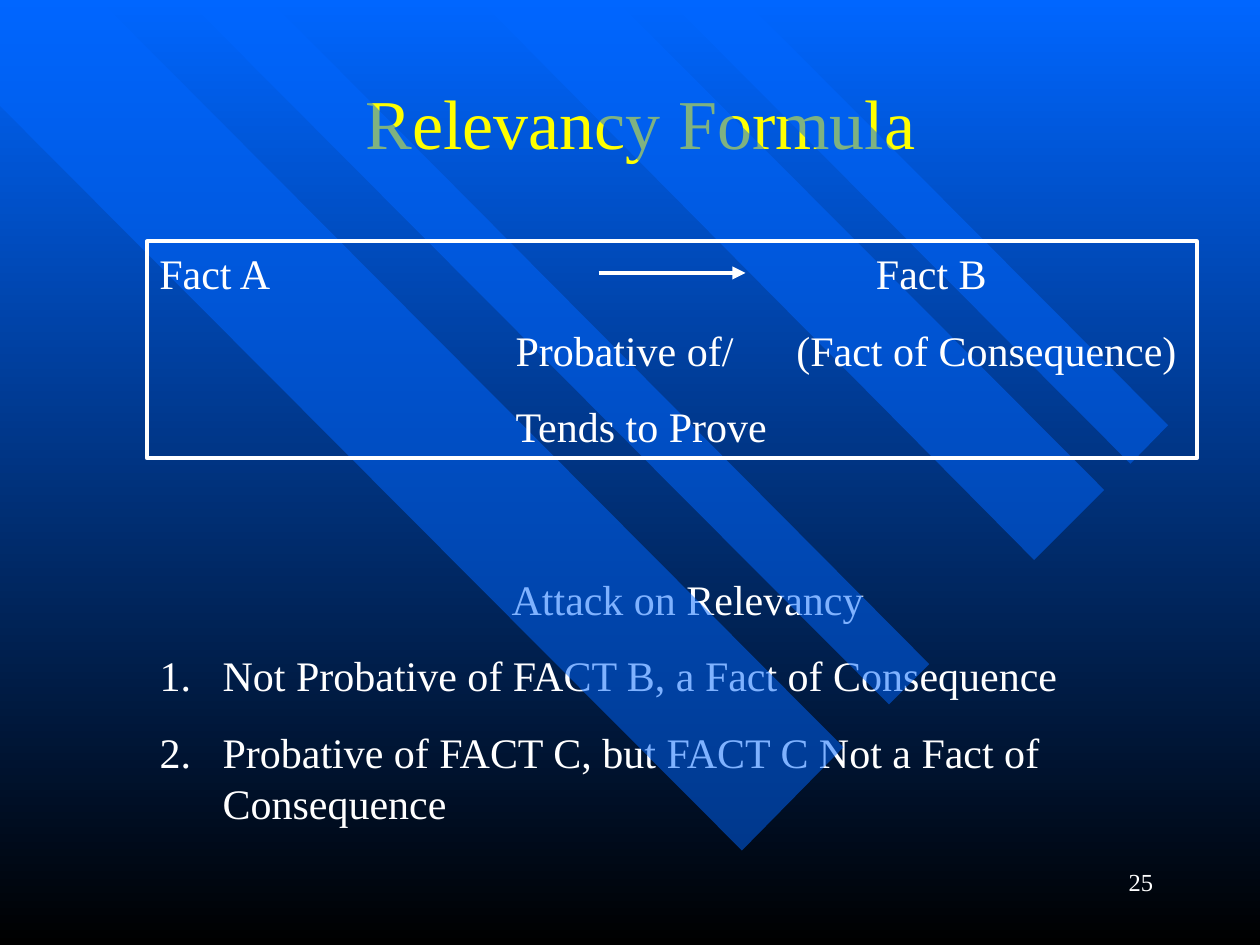
import pptx
import pptx.util
import pptx.dml.color
import pptx.enum.shapes
import pptx.enum.text
import pptx.oxml
import pptx.oxml.ns
from lxml import etree

Pt = pptx.util.Pt
ALIGN = pptx.enum.text.PP_ALIGN
ANCHOR = pptx.enum.text.MSO_ANCHOR
BLUE = pptx.dml.color.RGBColor(0x00, 0x66, 0xFF)
BLACK = pptx.dml.color.RGBColor(0x00, 0x00, 0x00)
WHITE = pptx.dml.color.RGBColor(0xFF, 0xFF, 0xFF)
YELLOW = pptx.dml.color.RGBColor(0xFF, 0xFF, 0x00)
FONT = "Times New Roman"

BANDS = [
    [(482, 427), (57, 0), (0, 0), (0, 60.5), (424, 486)],
    [(154, 0), (531, 379.5), (508, 402.5), (107, 0)],
    [(352, 0), (631, 280), (591, 320), (274, 0)],
    [(382, 0), (646, 265), (667.5, 243), (425.5, 0)],
]
FORMULA = [
    ("Fact A\tFact B", [409.5]),
    ("\tProbative of/\t(Fact of Consequence)", [203.5, 364]),
    ("\tTends to Prove", [203.5]),
]
HEADING = "Attack on Relevancy"
ATTACKS = [
    "Not Probative of FACT B, a Fact of Consequence",
    "Probative of FACT C, but FACT C Not a Fact of Consequence",
]


def add_child(parent, tag, **attributes):
    """Append a DrawingML element to parent and return it."""
    child = etree.SubElement(parent, pptx.oxml.ns.qn(tag))
    for name, value in attributes.items():
        child.set(name, str(value))
    return child


def place(shape, left, top, width, height):
    """Move and size a shape, in points."""
    shape.left, shape.top = Pt(left), Pt(top)
    shape.width, shape.height = Pt(width), Pt(height)


def style(paragraph, size, color, align=ALIGN.LEFT, before=0):
    """Set the font, alignment and space before of a paragraph."""
    paragraph.alignment = align
    paragraph.space_before = Pt(before)
    paragraph.font.name = FONT
    paragraph.font.size = Pt(size)
    paragraph.font.color.rgb = color


def paint_background(slide):
    """Fill the background with a gradient from blue down to black."""
    fill = slide.background.fill
    fill.gradient()
    fill.gradient_angle = 270
    for stop, position, color in zip(fill.gradient_stops, (0, 1), (BLUE, BLACK)):
        stop.position = position
        stop.color.rgb = color


def add_band(slide, corners):
    """Draw one half-transparent diagonal band."""
    points = [(Pt(x), Pt(y)) for x, y in corners]
    builder = slide.shapes.build_freeform(*points[0])
    builder.add_line_segments(points[1:], close=True)
    band = builder.convert_to_shape()
    band.shadow.inherit = False
    band.fill.solid()
    band.fill.fore_color.rgb = BLUE
    band.line.fill.background()
    color = band.fill._xPr.find(".//" + pptx.oxml.ns.qn("a:srgbClr"))
    add_child(color, "a:alpha", val=50000)


def add_title(slide, text):
    """Fill the title placeholder."""
    title = slide.shapes.title
    place(title, 72, 30, 588, 78.5)
    title.text_frame.text = text
    title.text_frame.vertical_anchor = ANCHOR.MIDDLE
    style(title.text_frame.paragraphs[0], 40, YELLOW, ALIGN.CENTER)


def add_formula(slide):
    """Draw the framed formula, its columns set by tab stops."""
    frame = slide.shapes.add_shape(
        pptx.enum.shapes.MSO_SHAPE.RECTANGLE, Pt(84), Pt(138), Pt(600), Pt(124))
    frame.shadow.inherit = False
    frame.fill.background()
    frame.line.color.rgb = WHITE
    frame.line.width = Pt(2.25)
    text = frame.text_frame
    text.word_wrap = True
    text.vertical_anchor = ANCHOR.TOP
    text.text = "\n".join(row for row, stops in FORMULA)
    for index, (paragraph, (row, stops)) in enumerate(zip(text.paragraphs, FORMULA)):
        tabs = add_child(paragraph._p.get_or_add_pPr(), "a:tabLst")
        for stop in stops:
            add_child(tabs, "a:tab", pos=Pt(stop), algn="l")
        style(paragraph, 24, WHITE, before=15 if index else 0)


def add_arrow(slide):
    """Draw the arrow from Fact A to Fact B."""
    arrow = slide.shapes.add_connector(
        pptx.enum.shapes.MSO_CONNECTOR.STRAIGHT, Pt(342), Pt(156), Pt(426), Pt(156))
    arrow.line.color.rgb = WHITE
    arrow.line.width = Pt(2.5)
    add_child(arrow.line._get_or_add_ln(), "a:tailEnd", type="triangle")
    add_child(arrow._element.spPr, "a:effectLst")


def add_attacks(slide):
    """Fill the body placeholder with the heading and the numbered attacks."""
    body = slide.placeholders[1]
    place(body, 84, 324, 618, 153)
    text = body.text_frame
    text.auto_size = pptx.enum.text.MSO_AUTO_SIZE.NONE
    text.text = "\n".join([HEADING] + ATTACKS)
    for index, paragraph in enumerate(text.paragraphs):
        properties = paragraph._p.get_or_add_pPr()
        properties.set("marL", str(Pt(36)))
        properties.set("indent", str(Pt(-36)))
        if index:
            add_child(properties, "a:buFont", typeface=FONT)
            add_child(properties, "a:buAutoNum", type="arabicPeriod")
            style(paragraph, 24, WHITE, before=15)
        else:
            add_child(properties, "a:buNone")
            style(paragraph, 24, WHITE, ALIGN.CENTER)


def add_page_number(slide, number):
    """Write the page number at the lower right."""
    box = slide.shapes.add_textbox(Pt(516), Pt(492), Pt(150), Pt(36))
    box.text_frame.word_wrap = True
    box.text_frame.text = number
    style(box.text_frame.paragraphs[0], 14, WHITE, ALIGN.RIGHT)


def main():
    """Build the slide and save it."""
    presentation = pptx.Presentation()
    presentation.slide_width, presentation.slide_height = Pt(720), Pt(540)
    slide = presentation.slides.add_slide(presentation.slide_layouts[1])
    paint_background(slide)
    for corners in BANDS:
        add_band(slide, corners)
    add_title(slide, "Relevancy Formula")
    add_formula(slide)
    add_arrow(slide)
    add_attacks(slide)
    add_page_number(slide, "25")
    presentation.save("out.pptx")


if __name__ == "__main__":
    main()
